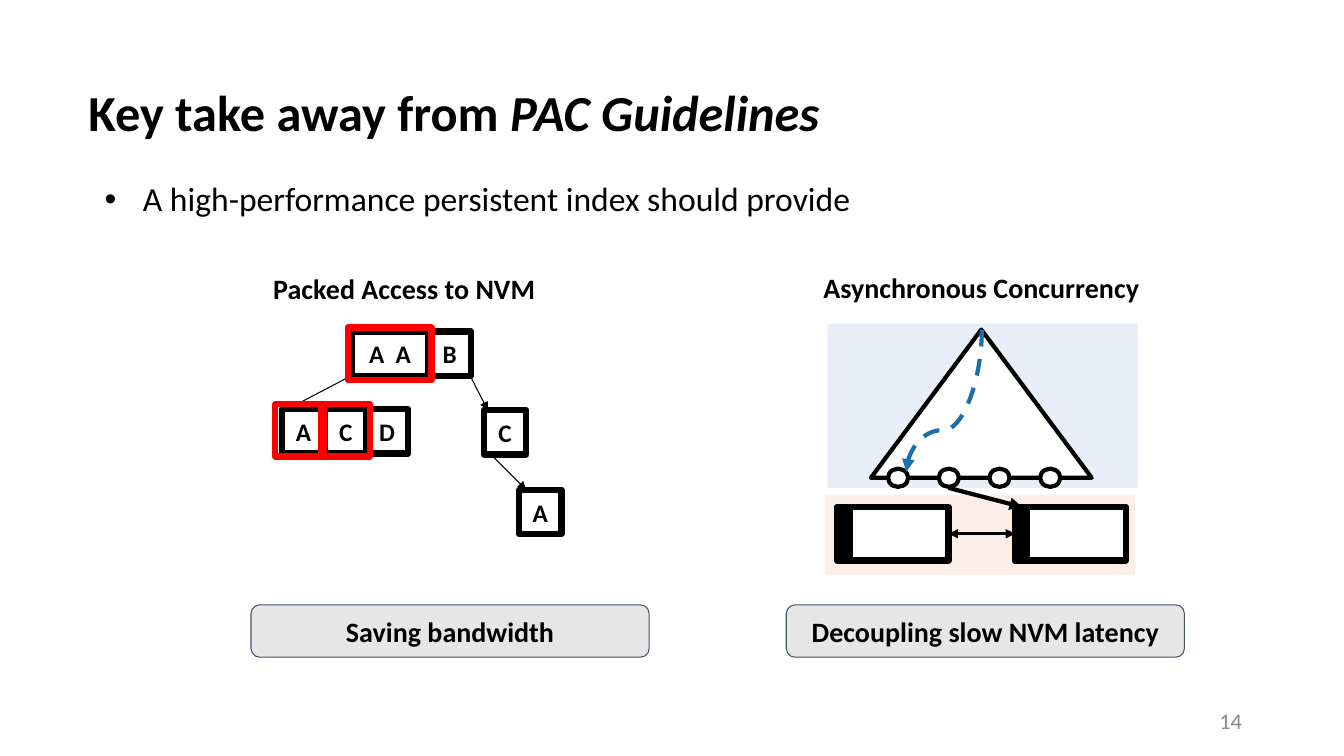
from lxml.etree import SubElement
from pptx import Presentation
from pptx.dml.color import RGBColor
from pptx.enum.dml import MSO_LINE
from pptx.enum.shapes import MSO_CONNECTOR as Link, MSO_SHAPE as Shape
from pptx.enum.text import MSO_ANCHOR as Anchor, PP_ALIGN as Align
from pptx.oxml.ns import qn
from pptx.util import Inches, Pt

BLACK = RGBColor(0x00, 0x00, 0x00)
WHITE = RGBColor(0xFF, 0xFF, 0xFF)
RED = RGBColor(0xFF, 0x00, 0x00)
BLUE = RGBColor(0x1D, 0x6F, 0xA9)
GRAY = RGBColor(0x88, 0x88, 0x88)
SLATE = RGBColor(0x44, 0x54, 0x6A)
SILVER = RGBColor(0xE7, 0xE6, 0xE6)
PEACH = RGBColor(0xF8, 0xCB, 0xAD)
SKY = RGBColor(0xB4, 0xC7, 0xE7)

CELL = Inches(0.1)
COLUMNS, ROWS = 133.33, 75
THICK, MEDIUM, THIN = 4.5, 3, 0.75

TITLE = [("Key take away from ", False), ("PAC Guidelines", True)]
BULLET = "A high-performance persistent index should provide"
PAGE_NUMBER = "14"
HEADINGS = [("Asynchronous Concurrency", (80.5, 26.3, 33.7, 4.4)),
            ("Packed Access to NVM", (26, 26.4, 28.2, 4.4))]
BENEFITS = [("Saving bandwidth", 24.9), ("Decoupling slow NVM latency", 78)]

BANDS = [((81.8, 49.1, 30.8, 7.9), PEACH), ((82.1, 32.1, 30.8, 16.3), SKY)]
DATA_NODES = [83.1, 100.7]
DATA_TOP, DATA_WIDTH, DATA_HEIGHT, HEADER_WIDTH = 50.3, 11, 5.3, 1.2
SEARCH_TREE = (86.4, 32.7, 21.9, 14.7)
LEAF_COUNT, LEAF_LEFT, LEAF_TOP, LEAF_STEP = 4, 88.1, 46.5, 5.03
SEARCH_PATH = (86.6, 36, 100.7, 43.5)

KEY_WIDTH, KEY_HEIGHT = 4.2, 4.4
KEYS = [("A  A", 34.9, 32.9, 7.6), ("B", 42.5, 32.9, KEY_WIDTH),
        ("A", 28, 40.6, KEY_WIDTH), ("C", 32.2, 40.6, KEY_WIDTH),
        ("D", 36.3, 40.6, KEY_WIDTH), ("C", 48, 40.7, KEY_WIDTH),
        ("A", 51.5, 48.6, KEY_WIDTH)]
LEFT_LINK = (35, 37.2, 28.5, 40.6)
RIGHT_LINKS = [(46.6, 37.2, 48.4, 40.7), (48.5, 44.9, 52.2, 48.6)]
FRAMES = [(34.5, 32.5, 8.3, 5.2), (27.3, 40.1, 4.8, 5.2), (31.9, 40.1, 4.8, 5.2)]


def grid(*cells):
    return [round(cell * CELL) for cell in cells]


def write(box, spans, size, bold=True, align=Align.CENTER, color=BLACK,
          anchor=Anchor.MIDDLE, wrap=True):
    frame = box.text_frame
    frame.word_wrap = wrap
    frame.vertical_anchor = anchor
    para = frame.paragraphs[0]
    para.alignment = align
    for text, italic in spans:
        span = para.add_run()
        span.text = text
        if italic:
            span.font.italic = True
    font = para.font
    font.name, font.size, font.bold = "Calibri", Pt(size), bold
    font.color.rgb = color
    return para


def add_text(page, place, spans, size, **style):
    return write(page.shapes.add_textbox(*grid(*place)), spans, size, **style)


def add_shape(page, kind, place, fill=None, line=None, width=THICK):
    shape = page.shapes.add_shape(kind, *grid(*place))
    shape.shadow.inherit = False
    if fill is None:
        shape.fill.background()
    else:
        shape.fill.solid()
        shape.fill.fore_color.rgb = fill
    if line is None:
        shape.line.fill.background()
    else:
        shape.line.color.rgb = line
        shape.line.width = Pt(width)
    return shape


def add_arrow(page, ends, width, color=BLACK, kind=Link.STRAIGHT, both=False):
    arrow = page.shapes.add_connector(kind, *grid(*ends))
    arrow.line.color.rgb = color
    arrow.line.width = Pt(width)
    outline = arrow.line._get_or_add_ln()
    for tag in ("a:headEnd", "a:tailEnd") if both else ("a:tailEnd",):
        SubElement(outline, qn(tag), type="triangle")
    SubElement(arrow._element.spPr, qn("a:effectLst"))
    return arrow


def add_heading_text(page):
    para = add_text(page, (7.8, 17.6, 115, 16), [(BULLET, False)], 24, bold=False,
                    align=Align.LEFT, anchor=Anchor.TOP)
    para.line_spacing = 0.9
    properties = para._p.get_or_add_pPr()
    properties.set("marL", str(Inches(0.54)))
    properties.set("indent", str(Inches(-0.38)))
    bullet_font = properties.makeelement(qn("a:buFont"), {"typeface": "Arial"})
    bullet = properties.makeelement(qn("a:buChar"), {"char": "•"})
    run_defaults = properties.find(qn("a:defRPr"))
    run_defaults.addprevious(bullet_font)
    run_defaults.addprevious(bullet)
    title = add_text(page, (7.8, 7.5, 115, 7.8), TITLE, 36, align=Align.LEFT)
    title.line_spacing = 0.9
    add_text(page, (94.2, 69.5, 30, 4), [(PAGE_NUMBER, False)], 16, bold=False,
             align=Align.RIGHT, color=GRAY)
    for text, place in HEADINGS:
        add_text(page, place, [(text, False)], 20, wrap=False, anchor=Anchor.TOP)


def add_concurrency(page):
    for place, color in BANDS:
        band = add_shape(page, Shape.RECTANGLE, place, color)
        tint = band.fill._xPr.find(qn("a:solidFill"))[0]
        SubElement(tint, qn("a:alpha"), val="29000")
    for left in DATA_NODES:
        for width, fill in ((DATA_WIDTH, WHITE), (HEADER_WIDTH, BLACK)):
            add_shape(page, Shape.RECTANGLE, (left, DATA_TOP, width, DATA_HEIGHT), fill, BLACK)
    first, second = DATA_NODES
    middle = DATA_TOP + DATA_HEIGHT / 2
    add_arrow(page, (first + DATA_WIDTH, middle, second, middle), 2.25, both=True)
    add_arrow(page, (first + DATA_WIDTH, 48.4, 101.4, DATA_TOP), MEDIUM)
    add_shape(page, Shape.ISOSCELES_TRIANGLE, SEARCH_TREE, WHITE, BLACK, MEDIUM)
    for index in range(LEAF_COUNT):
        leaf = (LEAF_LEFT + index * LEAF_STEP, LEAF_TOP, 2, 1.8)
        add_shape(page, Shape.OVAL, leaf, WHITE, BLACK, MEDIUM)
    search = add_arrow(page, SEARCH_PATH, MEDIUM, BLUE, Link.CURVE)
    search.line.dash_style = MSO_LINE.DASH
    properties = search._element.spPr
    properties.find(qn("a:xfrm")).set("rot", "5400000")
    adjustments = properties.find(qn("a:prstGeom")).find(qn("a:avLst"))
    SubElement(adjustments, qn("a:gd"), name="adj1", fmla="val 70600")


def add_packed_access(page):
    add_arrow(page, LEFT_LINK, THIN)
    for text, left, top, width in KEYS:
        key = add_shape(page, Shape.RECTANGLE, (left, top, width, KEY_HEIGHT), WHITE, BLACK)
        write(key, [(text, False)], 18)
    for ends in RIGHT_LINKS:
        add_arrow(page, ends, THIN)
    for place in FRAMES:
        add_shape(page, Shape.RECTANGLE, place, line=RED)


def main():
    """Build the slide on the two guidelines for persistent indexes."""
    deck = Presentation()
    deck.slide_width, deck.slide_height = grid(COLUMNS, ROWS)
    page = deck.slides.add_slide(deck.slide_layouts[6])
    add_heading_text(page)
    add_concurrency(page)
    add_packed_access(page)
    for text, left in BENEFITS:
        benefit = add_shape(page, Shape.ROUNDED_RECTANGLE, (left, 60, 39.5, 5.2),
                            SILVER, SLATE, THIN)
        write(benefit, [(text, False)], 20)
    deck.save("out.pptx")


if __name__ == "__main__":
    main()
